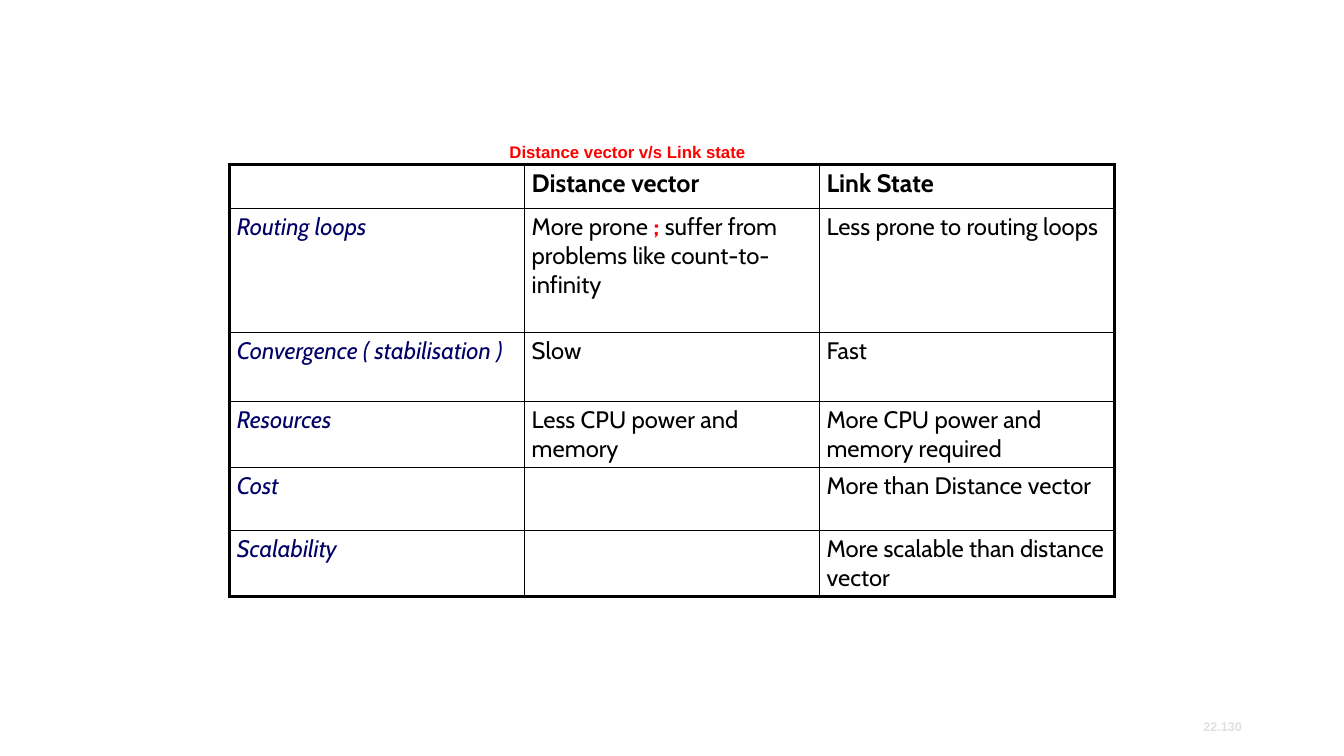
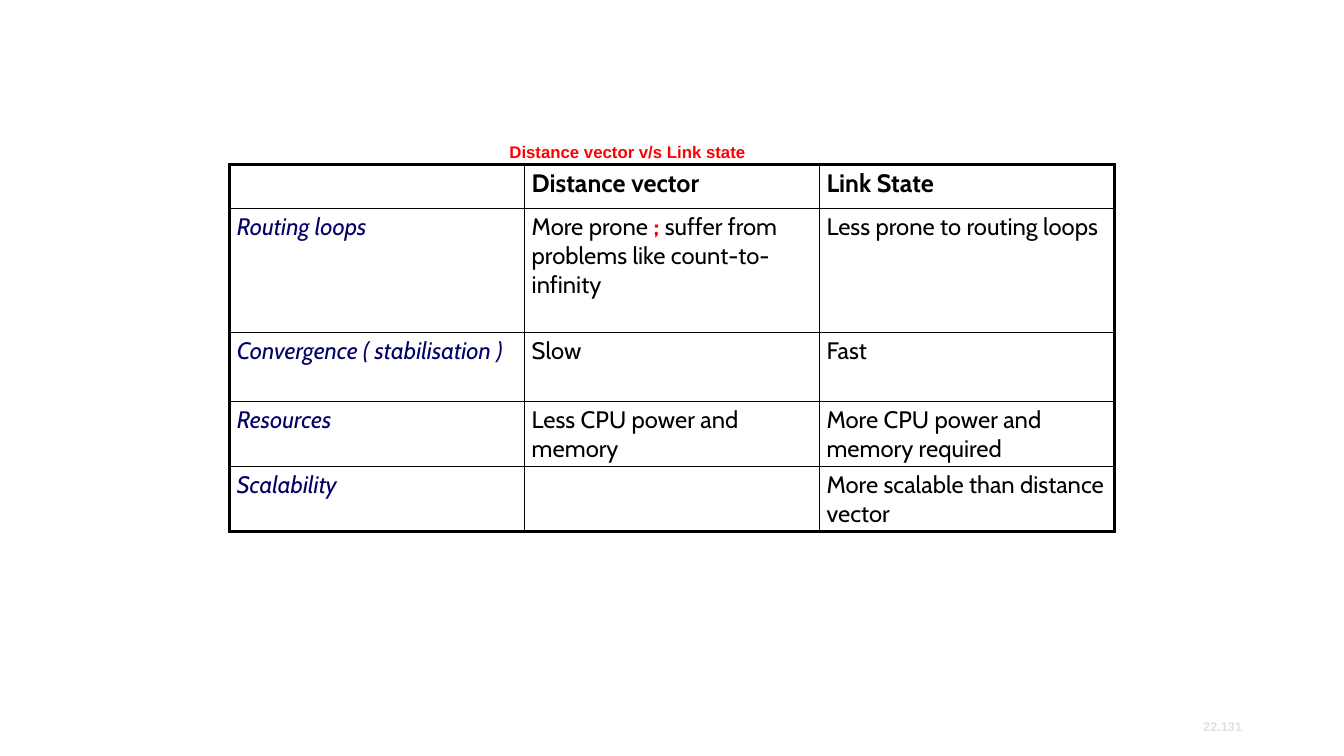
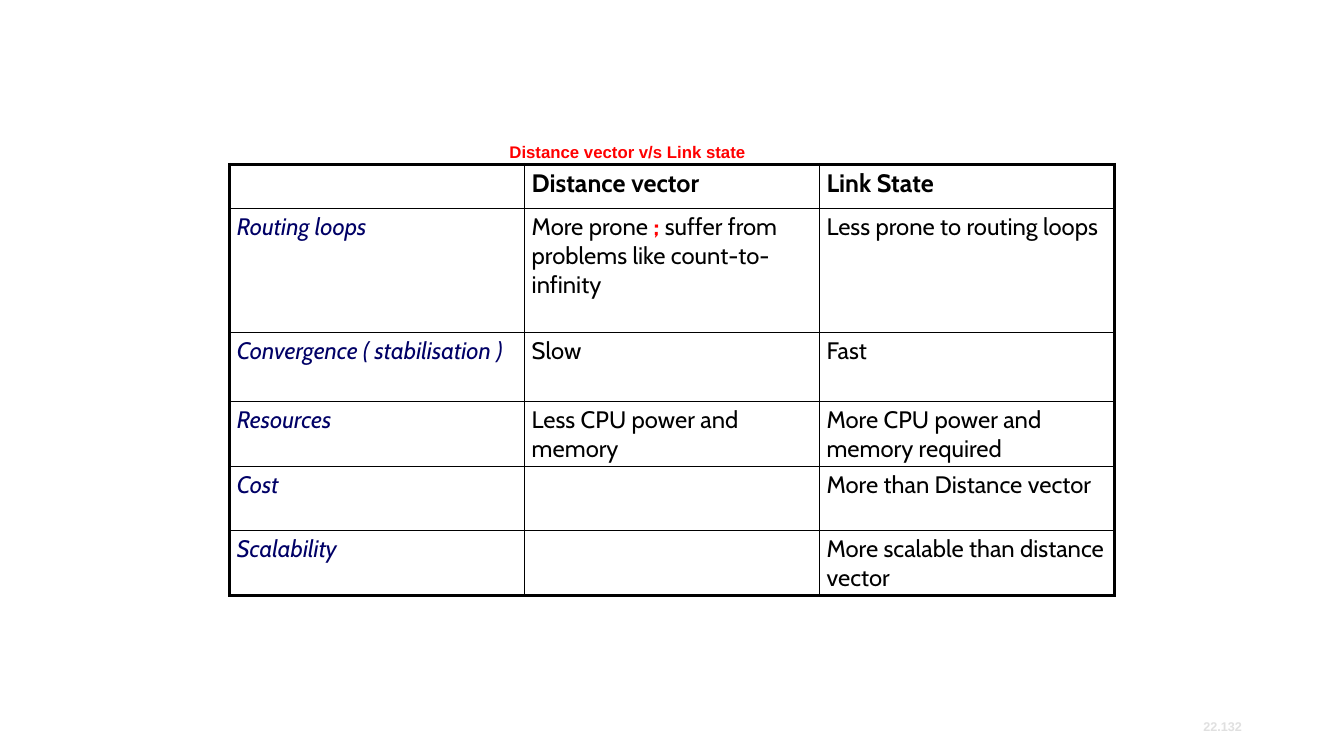
import dataclasses

import lxml.etree
import pptx
import pptx.dml.color
import pptx.enum.text
import pptx.oxml.ns
import pptx.util

Cm = pptx.util.Cm
Pt = pptx.util.Pt

TITLE = "Distance vector v/s Link state"
HEADER = ("", "Distance vector", "Link State")
# A cell is a string, or a tuple of strings in which odd places are emphasised.
COMPARISON = {
    "Routing loops": (
        ("More prone", " ; ", "suffer from problems like count-to-infinity"),
        "Less prone to routing loops",
    ),
    "Convergence ( stabilisation )": ("Slow", "Fast"),
    "Resources": ("Less CPU power and memory", "More CPU power and memory required"),
    "Cost": ("", "More than Distance vector"),
    "Scalability": ("", "More scalable than distance vector"),
}
ROW_HEIGHTS = {
    "Routing loops": 3.12,
    "Convergence ( stabilisation )": 1.73,
    "Resources": 1.65,
    "Cost": 1.6,
    "Scalability": 1.6,
}
HEADER_HEIGHT = 1.12
SLIDES = [
    {"number": "22.130", "topics": list(COMPARISON)},
    {"number": "22.131", "topics": [topic for topic in COMPARISON if topic != "Cost"]},
    {"number": "22.132", "topics": list(COMPARISON)},
]


@dataclasses.dataclass(frozen=True)
class Theme:
    text: str = "000000"
    topic: str = "000066"
    accent: str = "FF0000"
    footer: str = "E0E0E0"
    border: str = "000000"
    heading_font: str = "Arial"
    table_font: str = "Cabin"
    title_size: float = 12
    header_size: float = 18
    body_size: float = 17
    footer_size: float = 9
    inner_line: float = 1
    outer_line: float = 2.25


THEME = Theme()
TABLE_LEFT, TABLE_TOP, COLUMN_WIDTH = 5.79, 4.14, 7.43


def style_font(font, name, size, color, bold=False, italic=False):
    font.name = name
    font.size = Pt(size)
    font.color.rgb = pptx.dml.color.RGBColor.from_string(color)
    font.bold = bold
    font.italic = italic


def add_label(slide, text, box, size, color, alignment, anchor):
    """Add one bold line of heading type; box is left, top, width, height in cm."""
    frame = slide.shapes.add_textbox(*(Cm(length) for length in box)).text_frame
    frame.word_wrap = True
    frame.vertical_anchor = anchor
    frame.margin_top = frame.margin_bottom = Cm(0.08)
    paragraph = frame.paragraphs[0]
    paragraph.text = text
    paragraph.alignment = alignment
    style_font(paragraph.font, THEME.heading_font, size, color, bold=True)


def set_borders(cell, outer_sides):
    """Draw all four sides, with the heavy line on those in outer_sides."""
    properties = cell._tc.get_or_add_tcPr()
    for side in "LRTB":
        width = THEME.outer_line if side in outer_sides else THEME.inner_line
        line = lxml.etree.SubElement(
            properties, pptx.oxml.ns.qn(f"a:ln{side}"), w=str(Pt(width))
        )
        fill = lxml.etree.SubElement(line, pptx.oxml.ns.qn("a:solidFill"))
        lxml.etree.SubElement(fill, pptx.oxml.ns.qn("a:srgbClr"), val=THEME.border)


def fill_cell(cell, content, is_header, is_topic):
    cell.margin_left = cell.margin_right = Cm(0.18)
    cell.margin_top = cell.margin_bottom = Cm(0.1)
    cell.fill.background()
    paragraph = cell.text_frame.paragraphs[0]
    style_font(
        paragraph.font,
        THEME.table_font,
        THEME.header_size if is_header else THEME.body_size,
        THEME.topic if is_topic else THEME.text,
        bold=is_header,
        italic=is_topic,
    )
    parts = (content,) if isinstance(content, str) else content
    for index, part in enumerate(parts):
        if not part:
            continue
        run = paragraph.add_run()
        run.text = part
        if index % 2:
            run.font.bold = True
            run.font.color.rgb = pptx.dml.color.RGBColor.from_string(THEME.accent)


def add_comparison(slide, topics):
    rows = [HEADER] + [(topic, *COMPARISON[topic]) for topic in topics]
    heights = [HEADER_HEIGHT] + [ROW_HEIGHTS[topic] for topic in topics]
    last_row, last_column = len(rows) - 1, len(HEADER) - 1
    table = slide.shapes.add_table(
        len(rows), len(HEADER), Cm(TABLE_LEFT), Cm(TABLE_TOP),
        Cm(COLUMN_WIDTH * len(HEADER)), Cm(sum(heights)),
    ).table
    table.first_row = table.horz_banding = False
    for column in table.columns:
        column.width = Cm(COLUMN_WIDTH)
    for r, (row, height) in enumerate(zip(rows, heights)):
        table.rows[r].height = Cm(height)
        for c, content in enumerate(row):
            cell = table.cell(r, c)
            at_edge = {"L": c == 0, "R": c == last_column, "T": r == 0, "B": r == last_row}
            set_borders(cell, [side for side, outer in at_edge.items() if outer])
            fill_cell(cell, content, is_header=r == 0, is_topic=r > 0 and c == 0)


def main():
    presentation = pptx.Presentation()
    presentation.slide_width, presentation.slide_height = Cm(33.87), Cm(19.05)
    align, anchor = pptx.enum.text.PP_ALIGN, pptx.enum.text.MSO_ANCHOR
    for content in SLIDES:
        slide = presentation.slides.add_slide(presentation.slide_layouts[6])
        add_comparison(slide, content["topics"])
        add_label(slide, TITLE, (6.33, 3.02, 18.97, 1.14), THEME.title_size,
                  THEME.accent, align.CENTER, anchor.BOTTOM)
        add_label(slide, content["number"], (27.5, 17.8, 4.05, 1), THEME.footer_size,
                  THEME.footer, align.RIGHT, anchor.MIDDLE)
    presentation.save("out.pptx")


if __name__ == "__main__":
    main()
